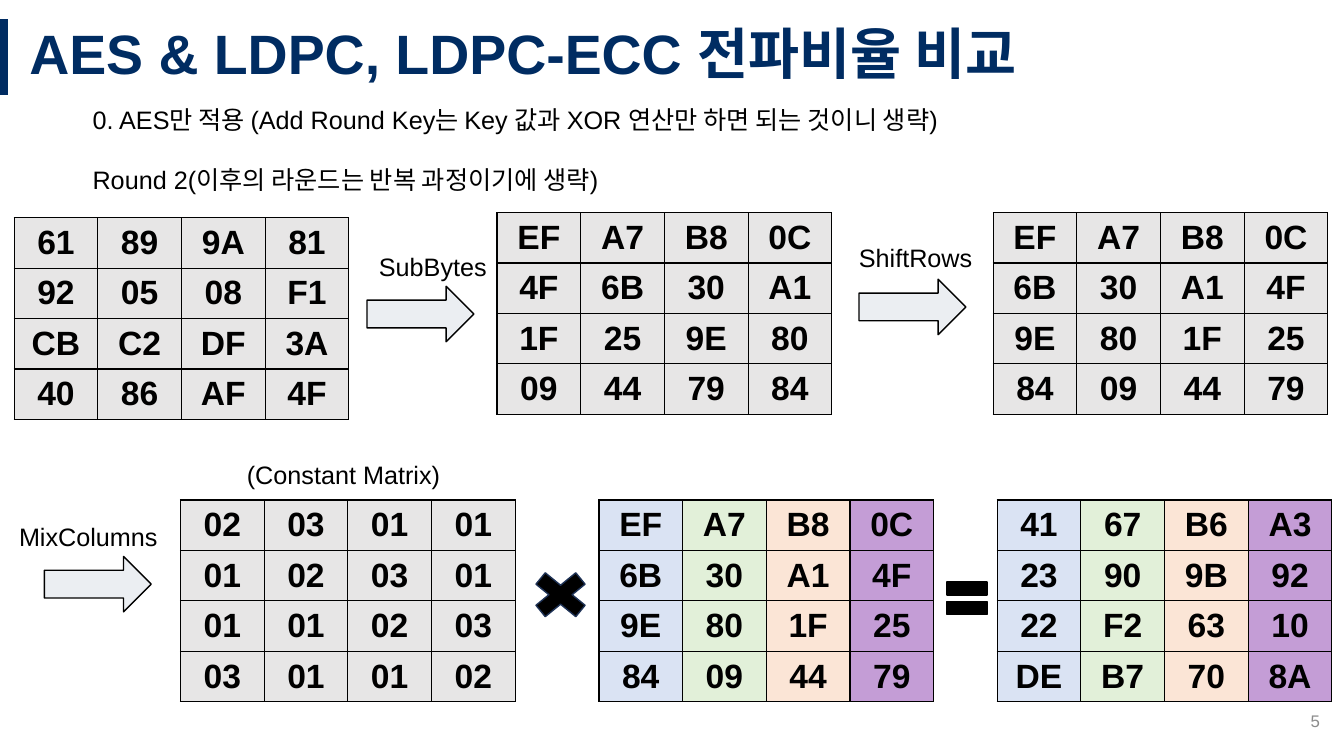
from dataclasses import dataclass

from lxml import etree
from pptx import Presentation
from pptx.dml.color import RGBColor
from pptx.enum.shapes import MSO_CONNECTOR, MSO_SHAPE
from pptx.enum.text import MSO_ANCHOR, MSO_AUTO_SIZE, PP_ALIGN
from pptx.oxml.ns import qn
from pptx.util import Inches, Pt

ARROW = MSO_SHAPE.RIGHT_ARROW
TIMES = MSO_SHAPE.MATH_MULTIPLY
EQUAL = MSO_SHAPE.MATH_EQUAL
LINE = MSO_CONNECTOR.STRAIGHT
LEFT, MID, RIGHT = PP_ALIGN.LEFT, PP_ALIGN.CENTER, PP_ALIGN.RIGHT
CENTER = MSO_ANCHOR.MIDDLE
TOP = MSO_ANCHOR.TOP
NO_FIT = MSO_AUTO_SIZE.NONE

NAVY, BLACK, GREY = "002C62", "000000", "8C8C8C"
PLAIN = ("E7E6E6",) * 4
TINTS = ("DAE3F3", "E2F0D9", "FBE5D6", "C49DD6")
COL, ROW = 0.83, 0.5


@dataclass
class Grid:
    """A 4 by 4 byte matrix with one fill per column."""
    left: float
    top: float
    rows: tuple[str, ...]
    fills: tuple[str, ...] = PLAIN


@dataclass
class Label:
    """A block of text lines with its place and look."""
    left: float
    top: float
    width: float
    height: float
    lines: tuple[str, ...]
    size: float = 18
    ink: str = BLACK
    align: PP_ALIGN = LEFT
    anchor: MSO_ANCHOR = TOP


@dataclass
class Sign:
    """An arrow or operator between matrices."""
    kind: MSO_SHAPE
    left: float
    top: float
    width: float = 1.06
    height: float = 0.55
    adjust: tuple[float, ...] = (0.5, 0.5)
    fill: str = "EBEEF2"
    edge: str = BLACK


SHIFTED = ("EF A7 B8 0C", "6B 30 A1 4F", "9E 80 1F 25", "84 09 44 79")
GRIDS = (
    Grid(0.14, 2.16, ("61 89 9A 81", "92 05 08 F1", "CB C2 DF 3A", "40 86 AF 4F")),
    Grid(4.93, 2.11, ("EF A7 B8 0C", "4F 6B 30 A1", "1F 25 9E 80", "09 44 79 84")),
    Grid(9.85, 2.11, SHIFTED),
    Grid(1.79, 4.96, ("02 03 01 01", "01 02 03 01", "01 01 02 03", "03 01 01 02")),
    Grid(5.94, 4.96, SHIFTED, TINTS),
    Grid(9.89, 4.96, ("41 67 B6 A3", "23 90 9B 92", "22 F2 63 10", "DE B7 70 8A"), TINTS),
)
LABELS = (
    Label(0.82, 0.99, 10.3, 0.99, (
        "0. AES만 적용 (Add Round Key는 Key 값과 XOR 연산만 하면 되는 것이니 생략)",
        "Round 2(이후의 라운드는 반복 과정이기에 생략)")),
    Label(3.66, 2.44, 1.42, 0.4, ("SubBytes",)),
    Label(8.42, 2.36, 1.45, 0.4, ("ShiftRows",)),
    Label(0.09, 5.12, 1.82, 0.4, ("MixColumns",)),
    Label(2.35, 4.51, 2.41, 0.4, ("(Constant Matrix)",)),
    Label(10.19, 6.95, 3, 0.4, ("5",), 12, GREY, RIGHT, CENTER),
)
SIGNS = (
    Sign(ARROW, 3.64, 2.84),
    Sign(ARROW, 8.52, 2.77),
    Sign(ARROW, 0.44, 5.52),
    Sign(TIMES, 5.18, 5.59, 0.76, 0.62, (0.235,), BLACK, "1E3256"),
    Sign(EQUAL, 9.32, 5.66, 0.54, 0.55, (0.235, 0.118), BLACK),
)


def color(code: str) -> RGBColor:
    """Turn a hex string into a colour."""
    return RGBColor.from_string(code)


def style(para, size: float, ink: str, align: PP_ALIGN, bold: bool = False) -> None:
    """Set the font and alignment of a paragraph."""
    para.alignment = align
    font = para.font
    font.name, font.size, font.bold = "Arial", Pt(size), bold
    font.color.rgb = color(ink)


def place(shape, left: float, top: float, width: float, height: float) -> None:
    """Move and size a shape."""
    shape.left, shape.top = Inches(left), Inches(top)
    shape.width, shape.height = Inches(width), Inches(height)


def border(cell) -> None:
    """Draw thin black lines around a cell."""
    props = cell._tc.get_or_add_tcPr()
    for side in ("a:lnL", "a:lnR", "a:lnT", "a:lnB"):
        edge = etree.SubElement(props, qn(side), w=str(Pt(1)))
        fill = etree.SubElement(edge, qn("a:solidFill"))
        etree.SubElement(fill, qn("a:srgbClr"), val=BLACK)


def add_grid(slide, grid: Grid) -> None:
    """Add a byte matrix as a table."""
    table = slide.shapes.add_table(
        4, 4, Inches(grid.left), Inches(grid.top), Inches(4 * COL), Inches(4 * ROW)).table
    table.first_row = table.horz_banding = False
    for r, row in enumerate(grid.rows):
        for c, byte in enumerate(row.split()):
            cell = table.cell(r, c)
            border(cell)
            cell.fill.solid()
            cell.fill.fore_color.rgb = color(grid.fills[c])
            cell.vertical_anchor = CENTER
            cell.text = byte
            style(cell.text_frame.paragraphs[0], 24, BLACK, MID, True)


def add_label(slide, label: Label) -> None:
    """Add a text box, its lines set one blank line apart."""
    box = slide.shapes.add_textbox(0, 0, 0, 0)
    place(box, label.left, label.top, label.width, label.height)
    frame = box.text_frame
    frame.word_wrap = True
    frame.vertical_anchor = label.anchor
    frame.text = "\n".join(label.lines)
    for i, para in enumerate(frame.paragraphs):
        style(para, label.size, label.ink, label.align)
        if i:
            para.space_before = Pt(21)


def add_sign(slide, sign: Sign) -> None:
    """Add an arrow or operator shape."""
    shape = slide.shapes.add_shape(sign.kind, 0, 0, 0, 0)
    place(shape, sign.left, sign.top, sign.width, sign.height)
    for i, value in enumerate(sign.adjust):
        shape.adjustments[i] = value
    shape.shadow.inherit = False
    shape.fill.solid()
    shape.fill.fore_color.rgb = color(sign.fill)
    shape.line.color.rgb = color(sign.edge)
    shape.line.width = Pt(1)


def add_head(slide) -> None:
    """Fill the title and draw the bar beside it."""
    bar = slide.shapes.add_connector(
        LINE, Inches(0.04), Inches(0.19), Inches(0.04), Inches(0.94))
    bar.line.color.rgb = color(NAVY)
    bar.line.width = Pt(6)
    etree.SubElement(bar._element.spPr, qn("a:effectLst"))
    title = slide.shapes.title
    place(title, 0.19, 0.19, 13.15, 0.75)
    frame = title.text_frame
    frame.text = "AES & LDPC, LDPC-ECC 전파비율 비교"
    frame.auto_size = NO_FIT
    frame.vertical_anchor = CENTER
    para = frame.paragraphs[0]
    para.line_spacing = 0.9
    style(para, 39.6, NAVY, LEFT, True)


def main() -> None:
    """Build and save the slide."""
    deck = Presentation()
    deck.slide_width, deck.slide_height = Inches(13.33), Inches(7.5)
    slide = deck.slides.add_slide(deck.slide_layouts[5])
    add_head(slide)
    for grid in GRIDS:
        add_grid(slide, grid)
    for label in LABELS:
        add_label(slide, label)
    for sign in SIGNS:
        add_sign(slide, sign)
    deck.save("out.pptx")


if __name__ == "__main__":
    main()
